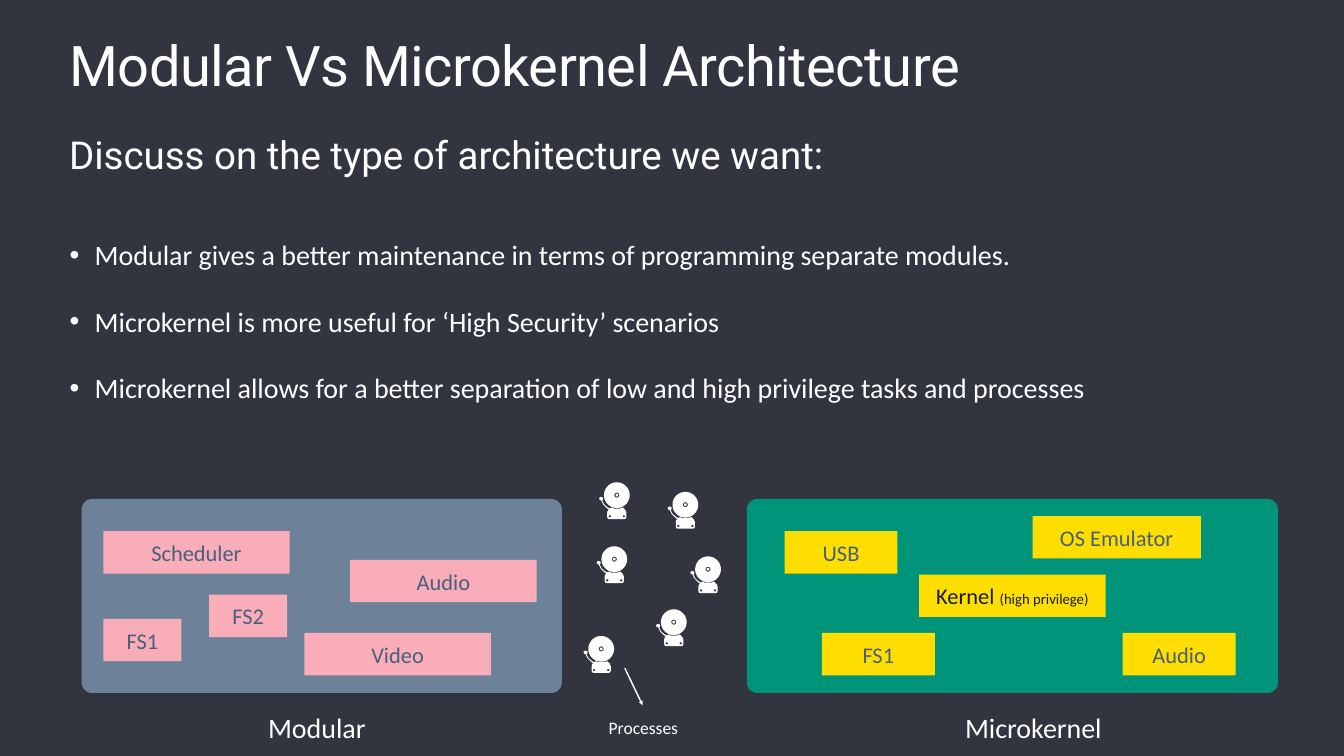
import math

import pptx
import pptx.dml.color
import pptx.enum.shapes
import pptx.enum.text
import pptx.oxml
import pptx.oxml.ns
import pptx.util

PX = 9144  # EMU per px, 100 px to the inch

RGBColor = pptx.dml.color.RGBColor
NIGHT = RGBColor(0x32, 0x35, 0x3F)
WHITE = RGBColor(0xFF, 0xFF, 0xFF)
STEEL = RGBColor(0x6D, 0x82, 0x99)
GREEN = RGBColor(0x00, 0x95, 0x7A)
PINK = RGBColor(0xF8, 0xAD, 0xB9)
YELLOW = RGBColor(0xFE, 0xDE, 0x00)
SLATE = RGBColor(0x4A, 0x60, 0x7A)
INK = RGBColor(0x16, 0x1B, 0x21)

SHAPE = pptx.enum.shapes.MSO_SHAPE
ANCHOR = pptx.enum.text.MSO_ANCHOR
ALIGN = pptx.enum.text.PP_ALIGN
FIT = pptx.enum.text.MSO_AUTO_SIZE


def write_text(frame, text, size=40, font="Calibri", color=WHITE, align=ALIGN.LEFT,
               anchor=ANCHOR.MIDDLE, inset=6, wrap=True, fit=FIT.NONE, leading=1.0,
               tracking=None, gap=0, bullet=None, hang=0, note="", note_size=21):
    """Fill a frame with one paragraph per line; note is a smaller ending."""
    frame.margin_left = frame.margin_right = inset * PX
    frame.margin_top = frame.margin_bottom = inset * PX
    frame.vertical_anchor = anchor
    frame.word_wrap = wrap
    frame.auto_size = fit
    for number, line in enumerate(text.split("\n")):
        paragraph = frame.add_paragraph() if number else frame.paragraphs[0]
        properties = paragraph._p.get_or_add_pPr()
        properties.set("marL", str(hang * PX))
        properties.set("indent", str(-hang * PX))
        mark = pptx.oxml.ns.qn("a:buChar" if bullet else "a:buNone")
        mark_element = properties.makeelement(mark, {"char": bullet} if bullet else {})
        properties.append(mark_element)
        paragraph.alignment = align
        paragraph.line_spacing = leading
        paragraph.space_before = pptx.util.Pt(gap if number else 0)
        for words, points in ((line, size), (note, note_size)):
            if not words:
                continue
            run = paragraph.add_run()
            run.text = words
            run.font.size = pptx.util.Pt(points)
            run.font.name = font
            run.font.color.rgb = color
            if tracking:
                run._r.get_or_add_rPr().set("spc", str(tracking))


def ring(x, y, radius, corners):
    """Corner points of a regular polygon, starting at the top."""
    turns = [2 * math.pi * corner / corners for corner in range(corners)]
    return [(x + radius * math.sin(turn), y - radius * math.cos(turn)) for turn in turns]


deck = pptx.Presentation()
deck.slide_width = 2667 * PX
deck.slide_height = 1500 * PX
slide = deck.slides.add_slide(deck.slide_layouts[3])
slide.background.fill.solid()
slide.background.fill.fore_color.rgb = NIGHT

# Title, subtitle and list
heading, subtitle, points = slide.placeholders
for holder, top, height in ((heading, 69, 185), (subtitle, 254, 110), (points, 466, 699)):
    holder.left, holder.top = 132 * PX, top * PX
    holder.width, holder.height = 2403 * PX, height * PX
write_text(heading.text_frame, "Modular Vs Microkernel Architecture", size=80,
           font="Roboto", anchor=ANCHOR.TOP, leading=0.9, tracking=-80)
write_text(subtitle.text_frame, "Discuss on the type of architecture we want:", size=55,
           font="Roboto", anchor=ANCHOR.TOP, inset=5)
write_text(points.text_frame,
           "Modular gives a better maintenance in terms of programming separate modules.\n"
           "Microkernel is more useful for ‘High Security’ scenarios\n"
           "Microkernel allows for a better separation of low and high privilege tasks and processes",
           anchor=ANCHOR.TOP, gap=47, bullet="•", hang=50)

# Kernel panels
for left, width, color in ((162, 953, STEEL), (1482, 1054, GREEN)):
    panel = slide.shapes.add_shape(SHAPE.ROUNDED_RECTANGLE, left * PX, 990 * PX,
                                   width * PX, 385 * PX)
    panel.adjustments[0] = 0.054
    panel.shadow.inherit = False
    panel.fill.solid()
    panel.fill.fore_color.rgb = color
    panel.line.fill.background()

# Modules in the panels
modules = [
    ("Scheduler", 205, 1054, 370, PINK, SLATE, ""),
    ("FS1", 205, 1228, 155, PINK, SLATE, ""),
    ("Audio", 695, 1111, 370, PINK, SLATE, ""),
    ("FS2", 415, 1180, 155, PINK, SLATE, ""),
    ("Video", 604, 1256, 370, PINK, SLATE, ""),
    ("Kernel ", 1824, 1140, 370, YELLOW, INK, "(high privilege)"),
    ("USB", 1557, 1054, 224, YELLOW, SLATE, ""),
    ("FS1", 1631, 1256, 224, YELLOW, SLATE, ""),
    ("Audio", 2228, 1256, 224, YELLOW, SLATE, ""),
    ("OS Emulator", 2049, 1024, 334, YELLOW, SLATE, ""),
]
for name, left, top, width, fill, color, note in modules:
    module = slide.shapes.add_shape(SHAPE.RECTANGLE, left * PX, top * PX, width * PX, 84 * PX)
    module.shadow.inherit = False
    module.fill.solid()
    module.fill.fore_color.rgb = fill
    module.line.fill.background()
    write_text(module.text_frame, name, size=32, color=color, align=ALIGN.CENTER, note=note)

# Bells standing for processes: dome, hub, hub screw, base with hammer, base screws
base = [(4, 29), (1, 30), (0, 32), (1, 35), (4, 36), (8, 44), (15, 51), (19, 54), (17, 56),
        (16, 60), (16, 69), (17, 72), (20, 73), (50, 73), (53, 72), (54, 69), (54, 60),
        (52, 55), (47, 50), (41, 52), (35, 52), (29, 52), (24, 50), (21, 52), (16, 49),
        (10, 44), (6, 36), (8, 34), (8, 32), (7, 30)]
bell_outlines = [ring(35, 25.5, 25.5, 48), ring(35, 25.5, 5, 24), ring(35, 25.5, 3, 6),
                 base, ring(21, 67.5, 2.5, 6), ring(49, 67.5, 2.5, 6)]
fine_outlines = [[(10 * x, 10 * y) for x, y in outline] for outline in bell_outlines]
for left, top in ((1189, 957), (1370, 1104), (1158, 1262),
                  (1184, 1084), (1325, 976), (1302, 1209)):
    builder = slide.shapes.build_freeform(*fine_outlines[0][0], scale=PX / 10)
    for number, outline in enumerate(fine_outlines):
        if number:
            builder.move_to(*outline[0])
        builder.add_line_segments(outline[1:], close=True)
    bell = builder.convert_to_shape(left * PX, top * PX)
    bell.shadow.inherit = False
    bell.fill.solid()
    bell.fill.fore_color.rgb = WHITE
    bell.line.fill.background()

# Arrow from a bell to its caption
pointer = slide.shapes.add_connector(pptx.enum.shapes.MSO_CONNECTOR.STRAIGHT,
                                     1240 * PX, 1326 * PX, 1275 * PX, 1399 * PX)
pointer.line.color.rgb = WHITE
pointer.line.width = pptx.util.Pt(2)
stroke = pointer.line._get_or_add_ln()
stroke.append(stroke.makeelement(pptx.oxml.ns.qn("a:tailEnd"), {"type": "triangle"}))
outline_properties = pointer._element.spPr
outline_properties.append(outline_properties.makeelement(pptx.oxml.ns.qn("a:effectLst"), {}))

# Captions
for name, left, top, width, height, size in (("Microkernel", 1909, 1400, 314, 88, 40),
                                             ("Modular", 526, 1400, 227, 88, 40),
                                             ("Processes", 1202, 1415, 167, 58, 25)):
    caption = slide.shapes.add_textbox(left * PX, top * PX, width * PX, height * PX)
    write_text(caption.text_frame, name, size=size, wrap=False, fit=FIT.SHAPE_TO_FIT_TEXT)

deck.save("out.pptx")
